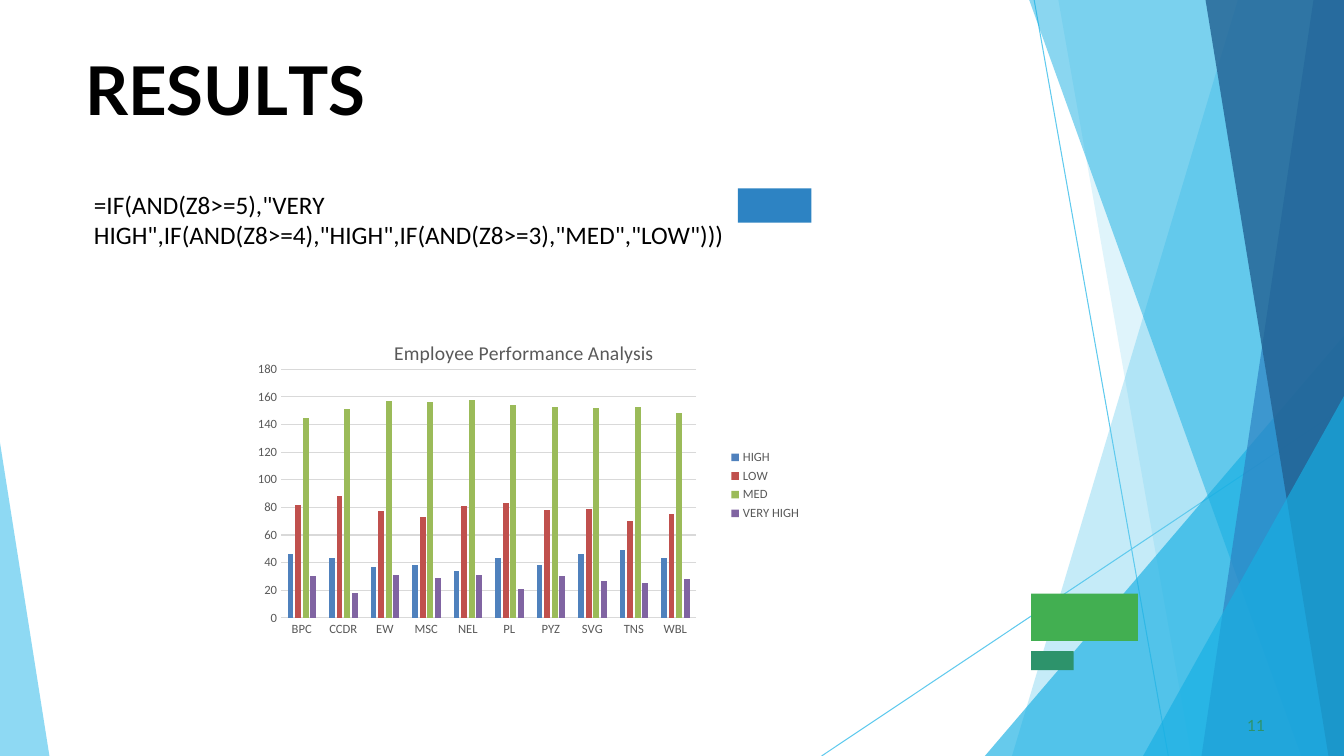
from lxml import etree
from pptx import Presentation, util as u
from pptx.chart.data import CategoryChartData
from pptx.dml.color import RGBColor
from pptx.enum import chart as ch, shapes, text
from pptx.oxml import parse_xml
from pptx.oxml.ns import nsdecls, qn

BLACK = RGBColor(0x00, 0x00, 0x00)
GREY = RGBColor(0x59, 0x59, 0x59)
RULE = RGBColor(0xD9, 0xD9, 0xD9)
SKY = RGBColor(0x5F, 0xCA, 0xEE)
CYAN = RGBColor(0x17, 0xAF, 0xE3)
BLUE = RGBColor(0x2D, 0x83, 0xC3)
NAVY = RGBColor(0x22, 0x61, 0x92)
GREEN = RGBColor(0x42, 0xAF, 0x51)
TEAL = RGBColor(0x2D, 0x93, 0x6B)

WIDTH, HEIGHT = u.Inches(13.333), u.Inches(7.5)

# Shares of the slide, in percent: line ends
LINES = [(76.95, 0, 86.93, 100), (100, 53.87, 61.13, 100)]
# Side edge, top, inner x at the top, inner x at the bottom, colour, opacity
SHARDS = [
    (100, 0, 92.1, 75.3, SKY, 36),
    (100, 0, 78.75, 88.65, SKY, 20),
    (100, 44.4, 100, 73.28, CYAN, 66),
    (100, 0, 76.58, 96.83, CYAN, 50),
    (100, 0, 97.73, 89.4, BLUE, 70),
    (100, 0, 89.7, 98.85, NAVY, 80),
    (100, 52.4, 100, 85.05, CYAN, 66),
    (0, 58.53, 0, 3.68, SKY, 70),
]
# Left, top, width, height, colour
BLOCKS = [
    (76.73, 78.53, 7.95, 6.27, GREEN),
    (54.9, 24.93, 5.48, 4.53, BLUE),
    (76.73, 86.13, 3.15, 2.53, TEAL),
]

# Letters with their tracking in hundredths of a point
TITLE = [("R", 0), ("E", -40), ("S", 10), ("U", -30), ("L", -400), ("TS", 0)]
FORMULA = '=IF(AND(Z8>=5),"VERY HIGH",IF(AND(Z8>=4),"HIGH",IF(AND(Z8>=3),"MED","LOW")))'

TEAMS = ["BPC", "CCDR", "EW", "MSC", "NEL", "PL", "PYZ", "SVG", "TNS", "WBL"]
RATINGS = [
    ("HIGH", RGBColor(0x4F, 0x81, 0xBD), (46, 43, 37, 38, 34, 43, 38, 46, 49, 43)),
    ("LOW", RGBColor(0xC0, 0x50, 0x4D), (82, 88, 77, 73, 81, 83, 78, 79, 70, 75)),
    ("MED", RGBColor(0x9B, 0xBB, 0x59),
     (145, 151, 157, 156, 158, 154, 153, 152, 153, 148)),
    ("VERY HIGH", RGBColor(0x80, 0x64, 0xA2),
     (30, 18, 31, 29, 31, 21, 30, 27, 25, 28)),
]


def px(share):
    return round(WIDTH * share / 100)


def py(share):
    return round(HEIGHT * share / 100)


def box(left, top, width, height):
    return px(left), py(top), px(width), py(height)


def paint(sp, color, opacity=100):
    sp.shadow.inherit = False
    sp.line.fill.background()
    sp.fill.solid()
    sp.fill.fore_color.rgb = color
    if opacity < 100:
        clr = sp.fill._xPr.find(".//" + qn("a:srgbClr"))
        etree.SubElement(clr, qn("a:alpha")).set("val", str(opacity * 1000))


def add_line(s, x1, y1, x2, y2):
    line = s.shapes.add_connector(
        shapes.MSO_CONNECTOR.STRAIGHT, px(x1), py(y1), px(x2), py(y2))
    line.line.color.rgb = SKY
    line.line.width = u.Pt(0.75)
    etree.SubElement(line._element.spPr, qn("a:effectLst"))


def add_shard(s, edge, top, x_top, x_bottom, color, opacity):
    fb = s.shapes.build_freeform(px(edge), py(top))
    corners = [(x_top, top), (x_bottom, 100), (edge, 100)]
    fb.add_line_segments([(px(x), py(y)) for x, y in corners], close=True)
    paint(fb.convert_to_shape(), color, opacity)


def add_block(s, left, top, width, height, color):
    paint(s.shapes.add_shape(shapes.MSO_SHAPE.RECTANGLE,
                             *box(left, top, width, height)), color)


def set_font(font, name, size, color, bold=False):
    font.name, font.size, font.bold = name, u.Pt(size), bold
    font.color.rgb = color


def tighten(tf, space_before, indent):
    """Drop the frame's insets and set the paragraph's offset."""
    tf.margin_left = tf.margin_right = tf.margin_bottom = 0
    tf.margin_top = u.Inches(0.01)
    p = tf.paragraphs[0]
    p.space_before = u.Pt(space_before)
    p._p.get_or_add_pPr().set("marL", str(u.Inches(indent)))


def add_title(s):
    sp = s.shapes.title
    sp.left, sp.top, sp.width, sp.height = box(6.25, 6.27, 42.45, 10.93)
    tf = sp.text_frame
    tf.vertical_anchor = text.MSO_ANCHOR.TOP
    p = tf.paragraphs[0]
    p.alignment = text.PP_ALIGN.LEFT
    for letters, tracking in TITLE:
        r = p.add_run()
        r.text = letters
        set_font(r.font, "Lato", 48, BLACK, bold=True)
        r.font._element.set("spc", str(tracking))
    tighten(tf, 1.1, 0.01)


def add_text(s, place, words, font, size, color):
    tf = s.shapes.add_textbox(*box(*place)).text_frame
    tf.word_wrap = True
    tf.text = words
    set_font(tf.paragraphs[0].runs[0].font, font, size, color)
    return tf


def set_layout(parent, after, **shares):
    """Place a chart part by shares of the chart's frame."""
    for old in parent.findall(qn("c:layout")):
        parent.remove(old)
    modes = "".join(f'<c:{a}Mode val="edge"/>' for a in "xy")
    sizes = "".join(f'<c:{k} val="{v}"/>' for k, v in shares.items())
    target = '<c:layoutTarget val="inner"/>' if "w" in shares else ""
    layout = parse_xml(f'<c:layout {nsdecls("c")}><c:manualLayout>{target}'
                       f'{modes}{sizes}</c:manualLayout></c:layout>')
    if after is None:
        parent.insert(0, layout)
    else:
        after.addnext(layout)


def style_axis(axis):
    axis.major_tick_mark = axis.minor_tick_mark = ch.XL_TICK_MARK.NONE
    set_font(axis.tick_labels.font, "Calibri", 9, GREY)


def add_ratings_chart(s):
    data = CategoryChartData()
    data.categories = TEAMS
    for name, _, values in RATINGS:
        data.add_series(name, values)
    chart = s.shapes.add_chart(ch.XL_CHART_TYPE.COLUMN_CLUSTERED,
                               *box(17.48, 42.27, 42.9, 43.87), data).chart
    set_font(chart.font, "Calibri", 10, BLACK)

    # Title
    title = chart.chart_title
    title.text_frame.text = "Employee Performance Analysis"
    set_font(title.text_frame.paragraphs[0].runs[0].font, "Calibri", 14, GREY)
    title.include_in_layout = False
    set_layout(title._element, title._element.find(qn("c:tx")), x=0.27, y=0.05)

    # Columns
    plot = chart.plots[0]
    plot.gap_width, plot.overlap, plot.vary_by_categories = 219, -27, False
    for series, (_, color, _) in zip(plot.series, RATINGS):
        series.format.fill.solid()
        series.format.fill.fore_color.rgb = color
    set_layout(chart._chartSpace.chart.plotArea, None,
               x=0.08, y=0.15, w=0.72, h=0.75)

    # Axes and legend
    style_axis(chart.category_axis)
    style_axis(chart.value_axis)
    chart.value_axis.maximum_scale, chart.value_axis.major_unit = 180, 20
    chart.value_axis.minimum_scale = 0
    chart.value_axis.format.line.fill.background()
    for part in (chart.category_axis, chart.value_axis.major_gridlines):
        part.format.line.color.rgb = RULE
        part.format.line.width = u.Pt(0.75)
    chart.has_legend = True
    chart.legend.position = ch.XL_LEGEND_POSITION.RIGHT
    chart.legend.include_in_layout = False
    set_font(chart.legend.font, "Calibri", 9, GREY)


def main():
    prs = Presentation()
    prs.slide_width, prs.slide_height = WIDTH, HEIGHT
    s = prs.slides.add_slide(prs.slide_layouts[5])

    # Backdrop
    for line in LINES:
        add_line(s, *line)
    for shard in SHARDS:
        add_shard(s, *shard)
    for block in BLOCKS:
        add_block(s, *block)

    # Content
    add_title(s)
    number = add_text(s, (92.5, 94.53, 3.98, 2.67), "11", "Lato", 11, TEAL)
    tighten(number, 0.6, 0.04)
    add_text(s, (6.25, 24.4, 64.35, 13.47), FORMULA, "Calibri", 18, BLACK)
    add_ratings_chart(s)
    prs.save("out.pptx")


if __name__ == "__main__":
    main()
